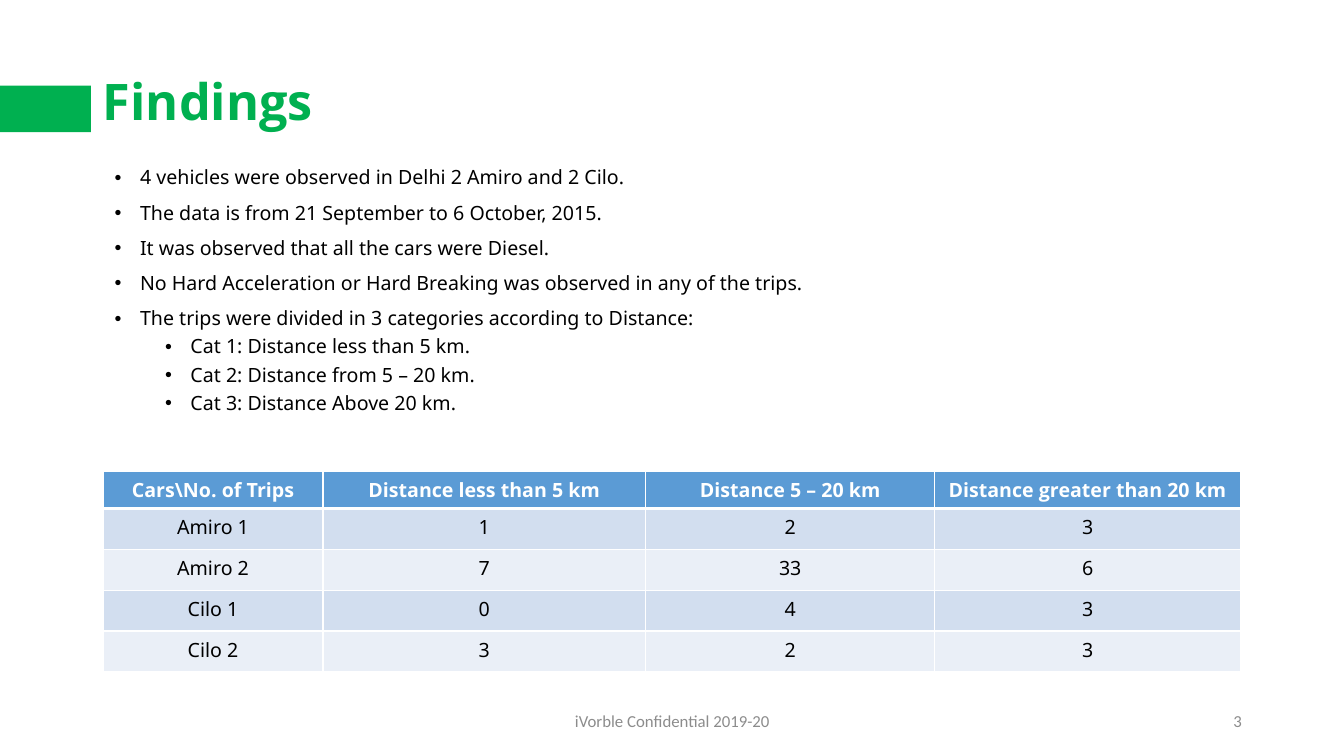
from lxml.etree import SubElement
from pptx import Presentation
from pptx.dml.color import RGBColor
from pptx.enum.shapes import MSO_SHAPE
from pptx.enum.text import MSO_ANCHOR, MSO_AUTO_SIZE, PP_ALIGN
from pptx.oxml.ns import qn
from pptx.util import Cm, Pt

COLORS = {
    "accent": "00B050",
    "text": "000000",
    "muted": "8C8C8C",
    "white": "FFFFFF",
    "header": "5B9BD5",
    "odd": "D2DEEF",
    "even": "EAEFF7",
}
TITLE = "Findings"
FINDINGS = [
    (0, "4 vehicles were observed in Delhi 2 Amiro and 2 Cilo."),
    (0, "The data is from 21 September to 6 October, 2015."),
    (0, "It was observed that all the cars were Diesel."),
    (0, "No Hard Acceleration or Hard Breaking was observed in any of the trips."),
    (0, "The trips were divided in 3 categories according to Distance:"),
    (1, "Cat 1: Distance less than 5 km."),
    (1, "Cat 2: Distance from 5 – 20 km."),
    (1, "Cat 3: Distance Above 20 km."),
]
TRIPS = [
    ("Cars\\No. of Trips", "Distance less than 5 km", "Distance 5 – 20 km", "Distance greater than 20 km"),
    ("Amiro 1", "1", "2", "3"),
    ("Amiro 2", "7", "33", "6"),
    ("Cilo 1", "0", "4", "3"),
    ("Cilo 2", "3", "2", "3"),
]
FOOTERS = [
    ("iVorble Confidential 2019-20", (11.23, 17.65, 11.43, 1.02), PP_ALIGN.CENTER),
    ("3", (23.93, 17.65, 7.62, 1.02), PP_ALIGN.RIGHT),
]
BAR_BOX = (-0.53, 2.16, 2.82, 1.17)
TITLE_BOX = (2.34, 1.83, 29.21, 1.6)
FINDINGS_BOX = (2.64, 4.11, 29.21, 12.09)
TRIPS_AT = (2.6, 11.89)
COLUMN_WIDTHS = (5.54, 8.13, 7.29, 7.7)
HEADER_HEIGHT, ROW_HEIGHT = 0.92, 1.03
LEVEL_INDENTS, HANGING = (0.64, 1.91), 0.64
LEVEL_SPACING = (10, 5)

FONTS = {
    "title": {"name": "Open Sans", "size": Pt(36), "bold": True},
    "body": {"name": "Noto Sans", "size": Pt(14), "bold": False},
    "header": {"name": "Open Sans", "size": Pt(14), "bold": True},
    "footer": {"name": "Calibri", "size": Pt(12), "bold": False},
}


def rgb(color):
    return RGBColor.from_string(COLORS[color])


def write(paragraph, text, style, color, align=PP_ALIGN.LEFT):
    paragraph.alignment = align
    run = paragraph.add_run()
    run.text = text
    for attribute, value in FONTS[style].items():
        setattr(run.font, attribute, value)
    run.font.color.rgb = rgb(color)


def add_text_frame(box, anchor):
    frame = slide.shapes.add_textbox(*map(Cm, box)).text_frame
    frame.word_wrap = True
    frame.vertical_anchor = anchor
    return frame


def add_bullet(paragraph, level):
    properties = paragraph._p.get_or_add_pPr()
    properties.set("marL", str(Cm(LEVEL_INDENTS[level])))
    properties.set("indent", str(-Cm(HANGING)))
    SubElement(properties, qn("a:buFont"), typeface="Arial")
    SubElement(properties, qn("a:buChar"), char="•")


def add_borders(cell, widths):
    properties = cell._tc.get_or_add_tcPr()
    for side, width in widths.items():
        line = SubElement(properties, qn(f"a:ln{side}"), w=str(Pt(width)))
        fill = SubElement(line, qn("a:solidFill"))
        SubElement(fill, qn("a:srgbClr"), val=COLORS["white"])


presentation = Presentation()
presentation.slide_width, presentation.slide_height = Cm(33.87), Cm(19.05)
slide = presentation.slides.add_slide(presentation.slide_layouts[5])

bar = slide.shapes.add_shape(MSO_SHAPE.RECTANGLE, *map(Cm, BAR_BOX))
bar.shadow.inherit = False
bar.fill.solid()
bar.fill.fore_color.rgb = rgb("accent")
bar.line.fill.background()

title = slide.shapes.title
title.left, title.top, title.width, title.height = map(Cm, TITLE_BOX)
title.text_frame.auto_size = MSO_AUTO_SIZE.NONE
title.text_frame.vertical_anchor = MSO_ANCHOR.MIDDLE
heading = title.text_frame.paragraphs[0]
heading.line_spacing = 0.9
write(heading, TITLE, "title", "accent")

findings = add_text_frame(FINDINGS_BOX, MSO_ANCHOR.TOP)
for index, (level, text) in enumerate(FINDINGS):
    finding = findings.add_paragraph() if index else findings.paragraphs[0]
    finding.level = level
    finding.line_spacing = 0.9
    finding.space_before = Pt(LEVEL_SPACING[level])
    add_bullet(finding, level)
    write(finding, text, "body", "text")

row_heights = [HEADER_HEIGHT] + [ROW_HEIGHT] * (len(TRIPS) - 1)
trips = slide.shapes.add_table(
    len(TRIPS), len(COLUMN_WIDTHS), *map(Cm, (*TRIPS_AT, sum(COLUMN_WIDTHS), sum(row_heights)))
).table
for column, width in zip(trips.columns, COLUMN_WIDTHS):
    column.width = Cm(width)
for index, (row, height, values) in enumerate(zip(trips.rows, row_heights, TRIPS)):
    row.height = Cm(height)
    is_header = index == 0
    style, color = ("header", "white") if is_header else ("body", "text")
    fill = "header" if is_header else ("even", "odd")[index % 2]
    widths = {"L": 1, "R": 1, "T": 3 if index == 1 else 1, "B": 3 if is_header else 1}
    for cell, value in zip(row.cells, values):
        add_borders(cell, widths)
        cell.fill.solid()
        cell.fill.fore_color.rgb = rgb(fill)
        write(cell.text_frame.paragraphs[0], value, style, color, PP_ALIGN.CENTER)

for text, box, align in FOOTERS:
    footer = add_text_frame(box, MSO_ANCHOR.MIDDLE)
    write(footer.paragraphs[0], text, "footer", "muted", align)

presentation.save("out.pptx")
